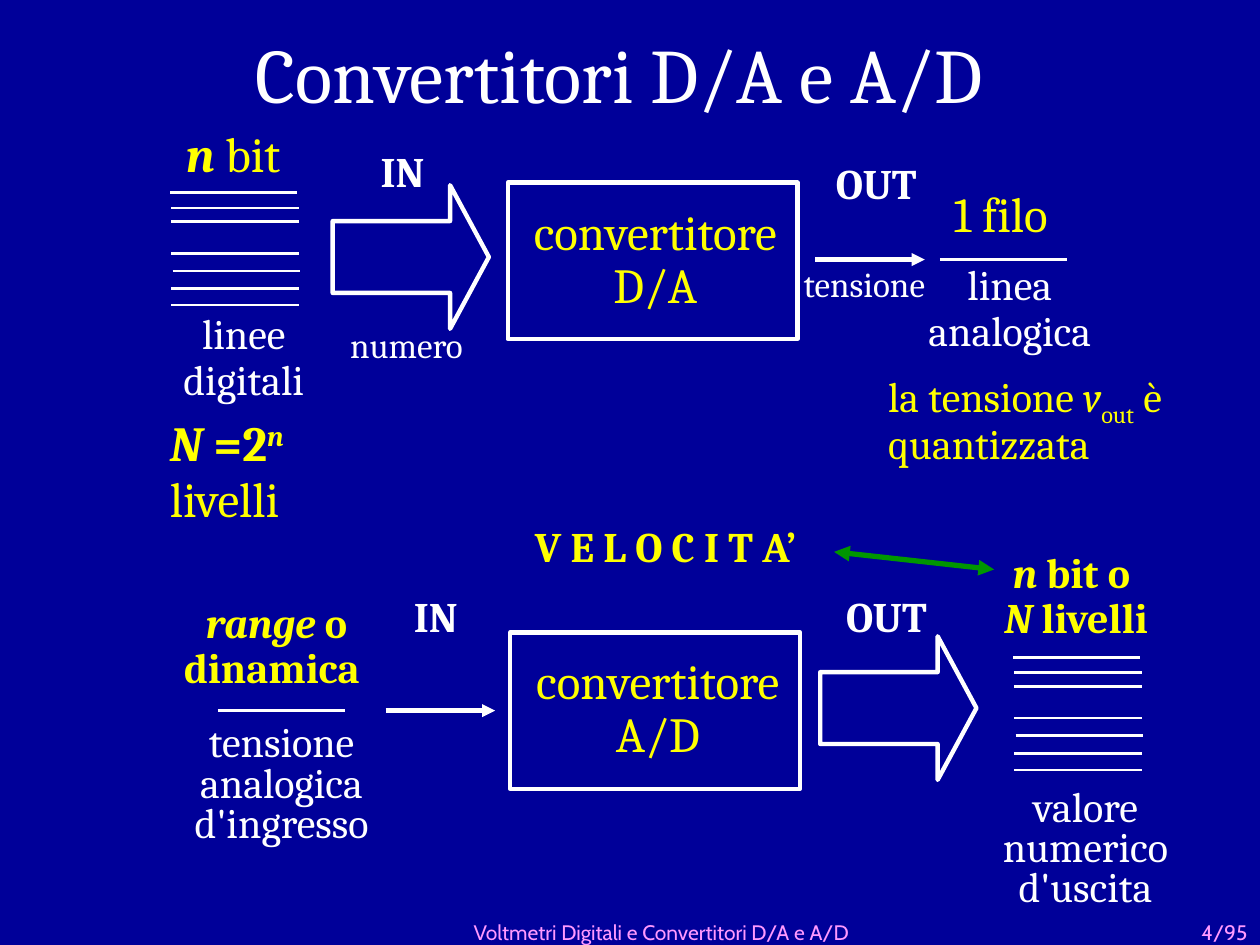
"""Build the slide on D/A and A/D converters."""
from lxml import etree
from pptx import Presentation
from pptx.dml.color import RGBColor
from pptx.enum.shapes import MSO_CONNECTOR, MSO_SHAPE
from pptx.enum.text import MSO_ANCHOR, MSO_AUTO_SIZE, PP_ALIGN
from pptx.oxml.ns import qn
from pptx.util import Inches, Pt

NAVY = RGBColor(0x00, 0x00, 0x99)
WHITE = RGBColor(0xFF, 0xFF, 0xFF)
YELLOW = RGBColor(0xFF, 0xFF, 0x00)
GREEN = RGBColor(0x00, 0x96, 0x00)
PINK = RGBColor(0xFF, 0x99, 0xFF)

STRAIGHT = MSO_CONNECTOR.STRAIGHT
RECT, ARROW = MSO_SHAPE.RECTANGLE, MSO_SHAPE.RIGHT_ARROW
LEFT, CENTER, RIGHT = PP_ALIGN.LEFT, PP_ALIGN.CENTER, PP_ALIGN.RIGHT
TOP, MIDDLE, BOTTOM = MSO_ANCHOR.TOP, MSO_ANCHOR.MIDDLE, MSO_ANCHOR.BOTTOM
GROW = MSO_AUTO_SIZE.SHAPE_TO_FIT_TEXT

BASELINES = {"^": "30000", "_": "-25000"}
BUS = [(0, 0), (0.01, 0.12), (0.01, 0.23), (0.01, 0.48),
       (0.02, 0.62), (0.01, 0.76), (0.01, 0.89)]
WIRE = 1.01


class Deck:
    """Hold the style and the current slide."""

    def __init__(self, slide, font="Cambria"):
        self.s = slide
        self.font = font
        bg = slide.background.fill
        bg.solid()
        bg.fore_color.rgb = NAVY

    def run(self, p, text, size, color, style="", font=None):
        r = p.add_run()
        r.text = text
        f = r.font
        f.name, f.size, f.color.rgb = font or self.font, Pt(size), color
        f.bold, f.italic = "b" in style, "i" in style
        for mark, value in BASELINES.items():
            if mark in style:
                r._r.get_or_add_rPr().set("baseline", value)

    def title(self, x, y, w, h, text):
        sp = self.s.shapes.title
        sp.left, sp.top, sp.width, sp.height = map(Inches, (x, y, w, h))
        tf = sp.text_frame
        tf.vertical_anchor = MIDDLE
        p = tf.paragraphs[0]
        p.alignment = CENTER
        self.run(p, text, 44, WHITE)

    def text(self, x, y, w, h, paras, size=24, color=WHITE, align=CENTER,
             spacing=0.9):
        """Add a text box; each paragraph is a string or (text, style) runs."""
        tf = self.s.shapes.add_textbox(*map(Inches, (x, y, w, h))).text_frame
        tf.word_wrap, tf.auto_size = True, GROW
        for i, runs in enumerate(paras):
            p = tf.add_paragraph() if i else tf.paragraphs[0]
            p.alignment, p.line_spacing = align, spacing
            for text, style in [(runs, "")] if isinstance(runs, str) else runs:
                if text == "\n":
                    p.add_line_break()
                else:
                    self.run(p, text, size, color, style)

    def footer(self, x, y, w, h, text, align):
        tf = self.s.shapes.add_textbox(*map(Inches, (x, y, w, h))).text_frame
        tf.word_wrap, tf.vertical_anchor = True, BOTTOM
        tf.margin_top = tf.margin_bottom = 0
        p = tf.paragraphs[0]
        p.alignment = align
        self.run(p, text, 12, PINK, font="Cabin")

    def shape(self, kind, x, y, w, h):
        sp = self.s.shapes.add_shape(kind, *map(Inches, (x, y, w, h)))
        sp.shadow.inherit = False
        sp.fill.background()
        sp.line.color.rgb, sp.line.width = WHITE, Pt(2.5)
        return sp

    def block_arrow(self, x, y):
        sp = self.shape(ARROW, x, y, 1.24, 1.14)
        sp.adjustments[0], sp.adjustments[1] = 0.5, 0.27

    def line(self, x1, y1, x2, y2, width=1.5, color=WHITE, ends=()):
        c = self.s.shapes.add_connector(STRAIGHT, *map(Inches, (x1, y1, x2, y2)))
        c.line.color.rgb, c.line.width = color, Pt(width)
        ln = c.line._get_or_add_ln()
        for end in ends:
            etree.SubElement(ln, qn("a:" + end), type="triangle")
        etree.SubElement(c._element.spPr, qn("a:effectLst"))

    def wire(self, x, y):
        self.line(x, y, x + WIRE, y)

    def arrow(self, x, y):
        self.line(x, y, x + 0.87, y, 2.5, ends=["tailEnd"])

    def bus(self, x, y):
        for dx, dy in BUS:
            self.wire(x + dx, y + dy)

    def converter(self, x, y, name):
        self.shape(RECT, x, y, 2.3, 1.24)
        self.text(x + 0.01, y + 0.15, 2.32, 0.94, ["convertitore", name], 28, YELLOW)

    def port(self, x, y, name):
        self.text(x, y, 1.67, 0.46, [[(name, "b")]])


def draw_da(d):
    d.converter(4.03, 1.45, "D/A")
    d.bus(1.35, 1.53)
    d.text(1.1, 2.44, 1.67, 0.82, ["linee", "digitali"])
    d.wire(7.46, 2.06)
    d.text(7.18, 2.05, 1.67, 0.82, ["linea", "analogica"])
    d.arrow(6.47, 2.06)
    d.port(6.12, 1.25, "OUT")
    d.block_arrow(2.64, 1.47)
    d.port(2.36, 1.15, "IN")
    d.text(1.38, 0.93, 1.1, 0.57, [[("n ", "bi"), ("bit", "")]], 28, YELLOW, LEFT, 1.0)
    d.text(1.25, 3.26, 1.3, 0.99,
           [[("N ", "bi"), ("=2", "b"), ("n", "bi^")], "livelli"],
           28, YELLOW, LEFT, 0.95)
    d.text(7.47, 1.41, 1.1, 0.57, ["1 filo"], 28, YELLOW, LEFT, 1.0)
    d.text(6.95, 2.9, 2.49, 0.82,
           [[("la tensione ", ""), ("v", "i"), ("out", "_"), (" è quantizzata", "")]],
           color=YELLOW, align=LEFT)
    d.text(2.68, 2.56, 1.23, 0.4, ["numero"], 20, align=LEFT)
    d.text(6.28, 2.07, 1.31, 0.4, ["tensione"], 20, align=LEFT)


def draw_ad(d):
    d.bus(8.04, 5.22)
    d.text(7.78, 6.22, 1.67, 1.06, ["valore numerico", "d'uscita"], spacing=0.8)
    d.wire(1.73, 5.64)
    d.text(1.35, 5.71, 1.77, 1.06, ["tensione", "analogica", "d'ingresso"], spacing=0.8)
    d.converter(4.05, 5.02, "A/D")
    d.arrow(3.06, 5.64)
    d.port(2.66, 4.68, "IN ")
    d.block_arrow(6.51, 5.05)
    d.port(6.2, 4.68, "OUT")
    d.text(1.36, 4.73, 1.67, 0.82, [[("range", "bi"), (" o dinamica ", "b")]],
           color=YELLOW)
    d.text(7.74, 4.33, 1.6, 0.82,
           [[("n", "bi"), (" bit o ", "b"), ("\n", ""), ("N", "bi"), (" livelli", "b")]],
           color=YELLOW)
    d.text(3.34, 4.13, 3.88, 0.46, [[("V E L O C I T A’", "b")]], color=YELLOW)
    d.line(6.62, 4.38, 7.89, 4.52, 3, GREEN, ["headEnd", "tailEnd"])


def main():
    prs = Presentation()
    prs.slide_width, prs.slide_height = Inches(10), Inches(7.5)
    d = Deck(prs.slides.add_slide(prs.slide_layouts[5]))
    d.title(0.51, 0, 8.81, 1.16, "Convertitori D/A e A/D")
    draw_da(d)
    draw_ad(d)
    d.footer(1.39, 7.28, 7.72, 0.22, "Voltmetri Digitali e Convertitori D/A e A/D", CENTER)
    d.footer(9.09, 7.28, 0.91, 0.22, "4/95", RIGHT)
    prs.save("out.pptx")


if __name__ == "__main__":
    main()
